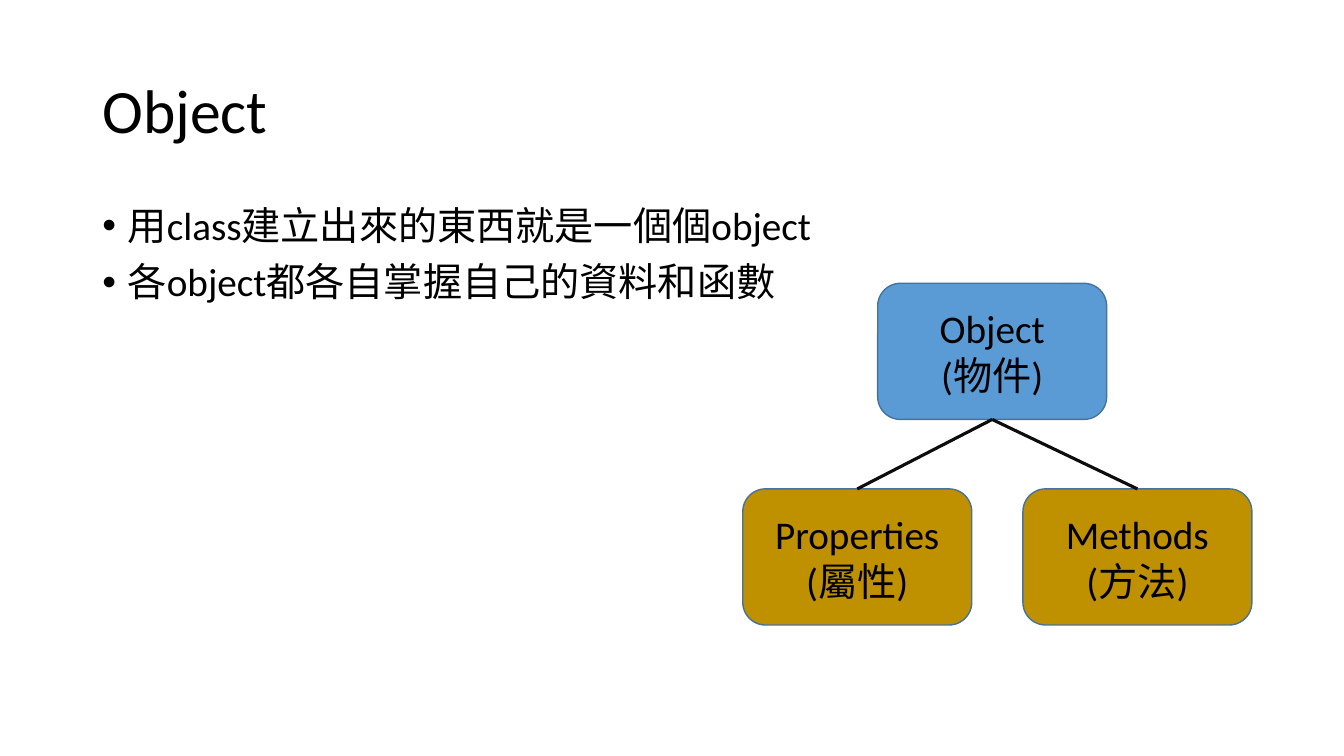
from dataclasses import dataclass

from lxml import etree
from pptx import Presentation
from pptx.dml.color import RGBColor
from pptx.enum.shapes import MSO_CONNECTOR, MSO_SHAPE
from pptx.enum.text import MSO_ANCHOR, MSO_AUTO_SIZE, PP_ALIGN
from pptx.oxml.ns import qn
from pptx.util import Cm, Pt

ROUNDED = MSO_SHAPE.ROUNDED_RECTANGLE
STRAIGHT = MSO_CONNECTOR.STRAIGHT
MIDDLE = MSO_ANCHOR.MIDDLE
LEFT, CENTER = PP_ALIGN.LEFT, PP_ALIGN.CENTER
NO_AUTOFIT = MSO_AUTO_SIZE.NONE
TITLE_ONLY = 5
TOP_SITE, BOTTOM_SITE = 0, 2


@dataclass(frozen=True)
class Theme:
    font: str = "Calibri"
    title_size: int = 44
    text_size: int = 28
    text: str = "000000"
    object_fill: str = "5B9BD5"
    member_fill: str = "BF9000"
    outline: str = "43739E"
    branch: str = "0D0D0D"


THEME = Theme()
MARGIN, CONTENT_WIDTH = Cm(2.33), Cm(29.21)
NODE_WIDTH, NODE_HEIGHT = Cm(5.77), Cm(3.43)
MEMBER_TOP = Cm(12.32)
BULLET_INDENT = Cm(0.64)


def color(value):
    return RGBColor.from_string(value)


def add_run(paragraph, text, size=THEME.text_size):
    run = paragraph.add_run()
    run.text = text
    run.font.name = THEME.font
    run.font.size = Pt(size)
    run.font.color.rgb = color(THEME.text)


def add_lines(frame, lines, align):
    """Write each line as a paragraph and return the paragraphs."""
    for index, line in enumerate(lines):
        paragraph = frame.paragraphs[0] if index == 0 else frame.add_paragraph()
        paragraph.alignment = align
        add_run(paragraph, line)
    return frame.paragraphs


def set_title(slide, text):
    title = slide.shapes.title
    title.left, title.top = MARGIN, Cm(1.02)
    title.width, title.height = CONTENT_WIDTH, Cm(3.68)
    frame = title.text_frame
    frame.auto_size = NO_AUTOFIT
    frame.vertical_anchor = MIDDLE
    paragraph = frame.paragraphs[0]
    paragraph.alignment = LEFT
    paragraph.line_spacing = 0.9
    add_run(paragraph, text, THEME.title_size)


def add_bullets(slide, lines):
    box = slide.shapes.add_textbox(MARGIN, Cm(5.08), CONTENT_WIDTH, Cm(12.09))
    box.text_frame.word_wrap = True
    for paragraph in add_lines(box.text_frame, lines, LEFT):
        paragraph.line_spacing = 0.9
        paragraph.space_before = Pt(10)
        properties = paragraph._p.get_or_add_pPr()
        properties.set("marL", str(BULLET_INDENT))
        properties.set("indent", str(-BULLET_INDENT))
        etree.SubElement(properties, qn("a:buFont")).set("typeface", "Arial")
        etree.SubElement(properties, qn("a:buChar")).set("char", "•")


def add_node(diagram, left, top, fill, lines):
    node = diagram.shapes.add_shape(ROUNDED, left, top, NODE_WIDTH, NODE_HEIGHT)
    node.shadow.inherit = False
    node.fill.solid()
    node.fill.fore_color.rgb = color(fill)
    node.line.color.rgb = color(THEME.outline)
    node.line.width = Pt(1)
    node.text_frame.word_wrap = True
    node.text_frame.vertical_anchor = MIDDLE
    add_lines(node.text_frame, lines, CENTER)
    return node


def add_branch(diagram, parent, child):
    """Join the bottom of the parent to the top of the child."""
    branch = diagram.shapes.add_connector(
        STRAIGHT,
        parent.left + parent.width // 2, parent.top + parent.height,
        child.left + child.width // 2, child.top,
    )
    branch.begin_connect(parent, BOTTOM_SITE)
    branch.end_connect(child, TOP_SITE)
    branch.line.color.rgb = color(THEME.branch)
    branch.line.width = Pt(2.25)
    etree.SubElement(branch._element.spPr, qn("a:effectLst"))


def main():
    deck = Presentation()
    deck.slide_width, deck.slide_height = Cm(33.87), Cm(19.05)
    slide = deck.slides.add_slide(deck.slide_layouts[TITLE_ONLY])

    # Title and statements
    set_title(slide, "Object")
    add_bullets(slide, [
        "用class建立出來的東西就是一個個object",
        "各object都各自掌握自己的資料和函數",
    ])

    # Object and its two kinds of member
    diagram = slide.shapes.add_group_shape()
    object_node = add_node(diagram, Cm(22.12), Cm(7.14), THEME.object_fill,
                           ["Object", "(物件)"])
    members = [
        add_node(diagram, Cm(left), MEMBER_TOP, THEME.member_fill, lines)
        for left, lines in [
            (25.78, ["Methods", "(方法)"]),
            (18.72, ["Properties", "(屬性)"]),
        ]
    ]
    for member in members:
        add_branch(diagram, object_node, member)

    deck.save("out.pptx")


main()
